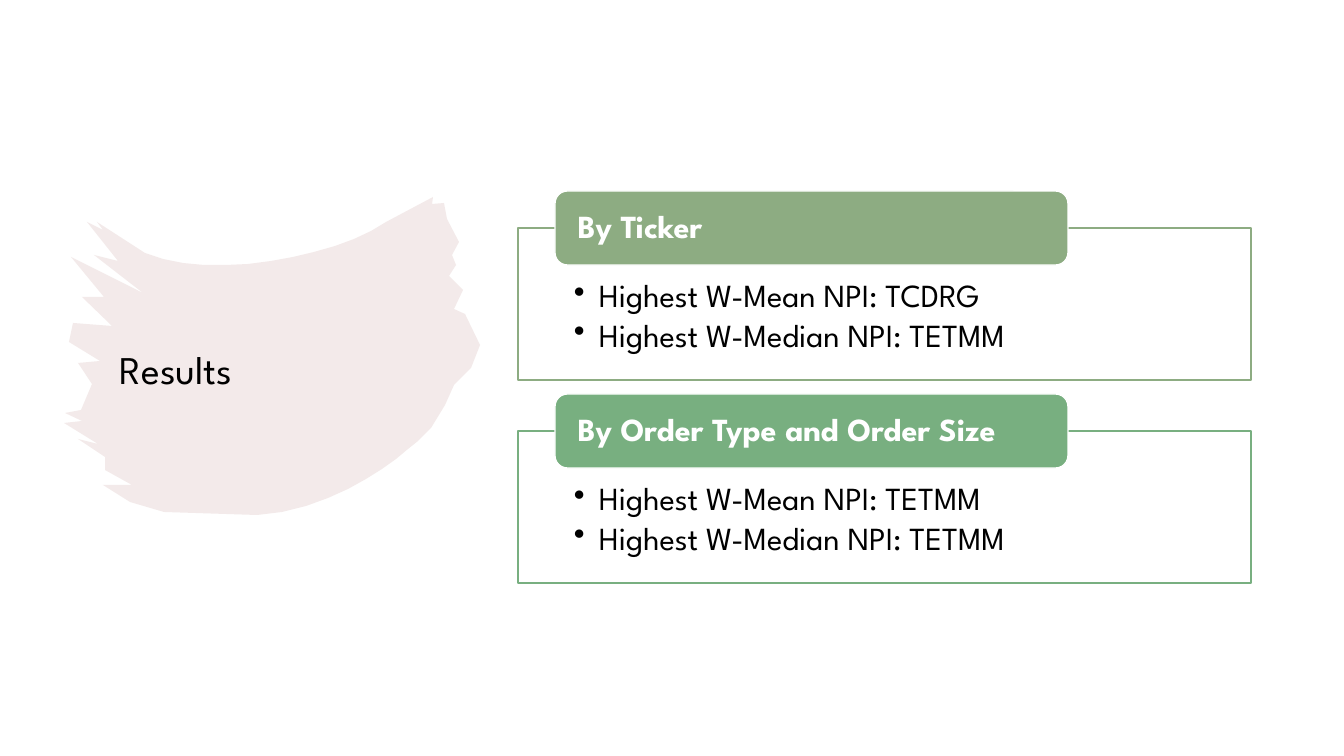
import pptx
import pptx.dml.color
import pptx.enum.shapes
import pptx.enum.text
import pptx.oxml.ns
import pptx.util
from lxml import etree

RGBColor = pptx.dml.color.RGBColor
BLACK = RGBColor(0x00, 0x00, 0x00)
WHITE = RGBColor(0xFF, 0xFF, 0xFF)
ROSE = RGBColor(0xC6, 0x99, 0x96)
OLIVE = RGBColor(0x8D, 0xAC, 0x82)
GREEN = RGBColor(0x78, 0xAF, 0x80)

SHAPES = pptx.enum.shapes.MSO_SHAPE
ANCHOR = pptx.enum.text.MSO_ANCHOR
PX = 12192000 / 1344
FONT = "League Spartan"


def px(*lengths):
    return [pptx.util.Emu(round(length * PX)) for length in lengths]


def write(shape, lines, size, color, bold, anchor, margins, bulleted=False):
    frame = shape.text_frame
    frame.word_wrap = True
    frame.vertical_anchor = anchor
    sides = ("margin_left", "margin_top", "margin_right", "margin_bottom")
    for side, length in zip(sides, px(*margins)):
        setattr(frame, side, length)
    for index, line in enumerate(lines):
        paragraph = frame.paragraphs[0] if index == 0 else frame.add_paragraph()
        paragraph.alignment = pptx.enum.text.PP_ALIGN.LEFT
        paragraph.line_spacing = 0.9
        run = paragraph.add_run()
        run.text = line
        formats = {"name": FONT, "size": pptx.util.Pt(size), "bold": bold}
        for name, value in formats.items():
            setattr(run.font, name, value)
        run.font.color.rgb = color
        if bulleted:
            properties = paragraph._p.get_or_add_pPr()
            indent = px(25)[0]
            properties.set("marL", str(indent))
            properties.set("indent", str(-indent))
            after = etree.SubElement(properties, pptx.oxml.ns.qn("a:spcAft"))
            etree.SubElement(after, pptx.oxml.ns.qn("a:spcPct"), val="15000")
            etree.SubElement(properties, pptx.oxml.ns.qn("a:buChar"), char="•")


presentation = pptx.Presentation()
presentation.slide_width, presentation.slide_height = px(1344, 756)
slide = presentation.slides.add_slide(presentation.slide_layouts[6])

# Brush stroke behind the title: two ragged ends joined by two smooth curves
RIGHT_END = [
    (433, 197), (432, 204), (444, 203), (447, 219), (459, 242), (452, 255),
    (456, 265), (449, 276), (463, 290), (454, 309), (465, 314), (480, 345),
    (471, 368), (454, 385), (445, 405),
]
BOTTOM_CURVE = [(431, 428), (430, 428), (360, 508), (257, 515)]
LEFT_END = [
    (164, 512), (130, 502), (103, 485), (132, 485), (105, 470), (105, 457),
    (78, 439), (98, 444), (64, 423), (82, 421), (65, 413), (81, 410),
    (92, 384), (78, 363), (100, 361), (69, 342), (73, 323), (112, 326),
    (82, 297), (104, 297), (71, 257), (143, 293), (94, 255), (118, 261),
    (87, 222), (103, 230), (97, 222),
]
TOP_CURVE = [(145, 253), (215, 280), (330, 258), (386, 222)]

outline = []
for end, curve in ((RIGHT_END, BOTTOM_CURVE), (LEFT_END, TOP_CURVE)):
    outline += end
    for step in range(13):
        t = step / 12
        weights = ((1 - t) ** 3, 3 * t * (1 - t) ** 2, 3 * t * t * (1 - t), t ** 3)
        outline.append(tuple(
            sum(weight * value for weight, value in zip(weights, values))
            for values in zip(*curve)
        ))
builder = slide.shapes.build_freeform(*outline[0], scale=PX)
builder.add_line_segments(outline[1:], close=True)
brush = builder.convert_to_shape()
brush.shadow.inherit = False
brush.fill.solid()
brush.fill.fore_color.rgb = ROSE
brush.line.fill.background()
brush_color = next(brush._element.spPr.iter(pptx.oxml.ns.qn("a:srgbClr")))
etree.SubElement(brush_color, pptx.oxml.ns.qn("a:alpha"), val="20000")

# Title
title = slide.shapes.add_textbox(*px(110, 289, 332, 165))
write(title, ["Results"], 28, BLACK, False, ANCHOR.MIDDLE, (10, 5, 10, 5))

# Result panels, each with a header tab over its top edge
RESULTS = [
    ("By Ticker", OLIVE,
     ["Highest W-Mean NPI: TCDRG", "Highest W-Median NPI: TETMM"]),
    ("By Order Type and Order Size", GREEN,
     ["Highest W-Mean NPI: TETMM", "Highest W-Median NPI: TETMM"]),
]
for index, (heading, color, findings) in enumerate(RESULTS):
    top = 191 + 203 * index
    panel = slide.shapes.add_shape(SHAPES.RECTANGLE, *px(518, top + 37, 733, 152))
    header = slide.shapes.add_shape(SHAPES.ROUNDED_RECTANGLE, *px(555, top, 513, 74))
    for shape, fill, line in ((panel, WHITE, color), (header, color, WHITE)):
        shape.shadow.inherit = False
        shape.fill.solid()
        shape.fill.fore_color.rgb = fill
        shape.line.color.rgb = line
        shape.line.width = pptx.util.Pt(1)
    write(panel, findings, 23, BLACK, False, ANCHOR.TOP, (56, 52, 56, 18), True)
    write(header, [heading], 23, WHITE, True, ANCHOR.MIDDLE, (19, 0, 19, 0))

presentation.save("out.pptx")
